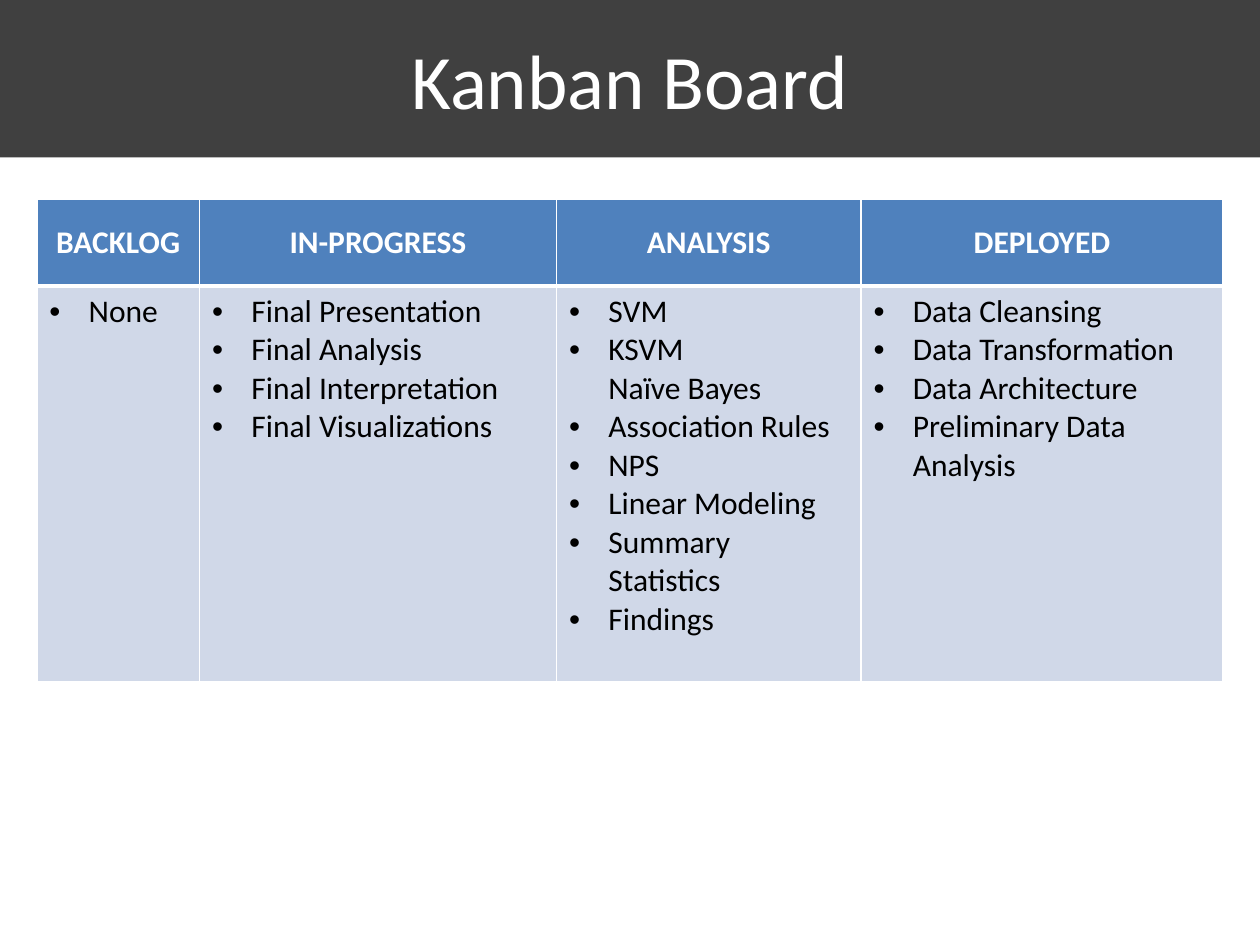
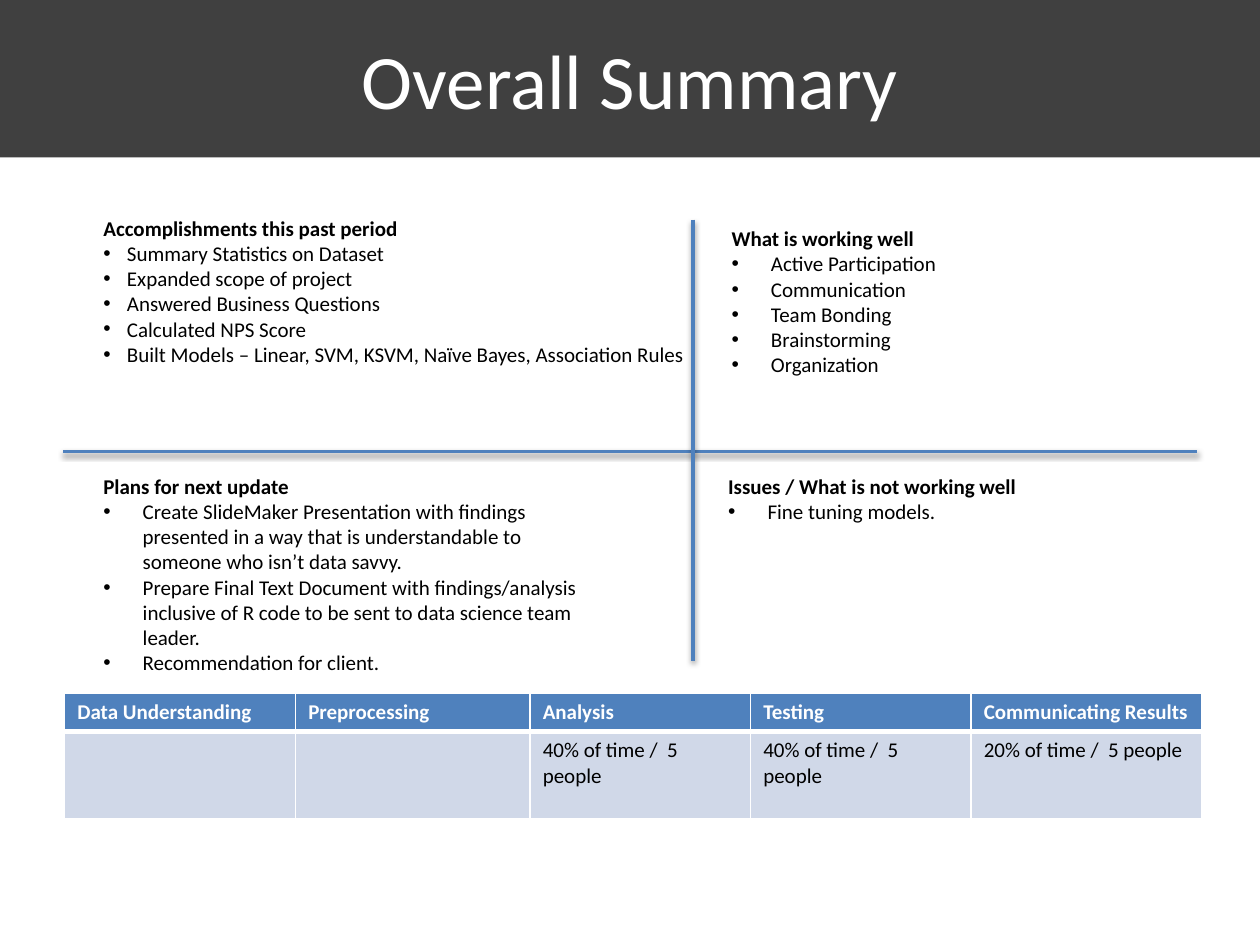
from lxml import etree
from pptx import Presentation
from pptx.dml.color import RGBColor
from pptx.enum import shapes, text
from pptx.oxml import ns
from pptx.util import Pt

BAND = RGBColor(0x40, 0x40, 0x40)
BLUE = RGBColor(0x4F, 0x81, 0xBD)
PALE = RGBColor(0xD0, 0xD8, 0xE8)
WHITE = RGBColor(0xFF, 0xFF, 0xFF)
BLACK = RGBColor(0, 0, 0)
FONT = "Calibri"
WIDTH, HEIGHT, BAND_H = 720, 540, 90
INDENT, SMALL_INDENT = 22.5, 13.5

BOARD = [
    ("BACKLOG", 93, ["None"]),
    ("IN-PROGRESS", 204, ["Final Presentation", "Final Analysis",
                          "Final Interpretation", "Final Visualizations"]),
    ("ANALYSIS", 174, ["SVM", "KSVM\nNaïve Bayes", "Association Rules", "NPS",
                       "Linear Modeling", "Summary Statistics", "Findings"]),
    ("DEPLOYED", 207, ["Data Cleansing", "Data Transformation",
                       "Data Architecture", "Preliminary Data Analysis"]),
]
EFFORT = [
    ("Data Understanding", 132, []),
    ("Preprocessing", 134, []),
    ("Analysis", 126, ["40% of time /  5 people "]),
    ("Testing", 126, ["40% of time /  5 people "]),
    ("Communicating Results", 132, ["20% of time /  5 people "]),
]
QUADRANTS = [
    ((52, 119.5, 346.5, 167), SMALL_INDENT, "Accomplishments this past period",
     ["Summary Statistics on Dataset", "Expanded scope of project",
      "Answered Business Questions", "Calculated NPS Score",
      "Built Models – Linear, SVM, KSVM, Naïve Bayes, Association Rules"]),
    ((411, 125.5, 271, 94), INDENT, "What is working well",
     ["Active Participation", "Communication", "Team Bonding",
      "Brainstorming", "Organization"]),
    ((52, 267, 296, 138), INDENT, "Plans for next update",
     ["Create SlideMaker Presentation with findings presented in a way that is "
      "understandable to someone who isn’t data savvy.",
      "Prepare Final Text Document with findings/analysis inclusive of R code "
      "to be sent to data science team leader.",
      "Recommendation for client."]),
    ((409, 267, 276.5, 80), INDENT, "Issues / What is not working well",
     ["Fine tuning models."]),
]
AXES = [(36, 258, 684, 258), (396, 125.5, 396, 377.5)]


def write(tf, lines, size, color, bold=False, align=None, indent=0, start=0):
    for i, line in enumerate(lines, start):
        p = tf.paragraphs[0] if i == 0 else tf.add_paragraph()
        if align is not None:
            p.alignment = align
        for n, part in enumerate(line.split("\n")):
            if n:
                p.add_line_break()
            r = p.add_run()
            r.text = part
            r.font.name, r.font.size, r.font.bold = FONT, Pt(size), bold
            r.font.color.rgb = color
        if indent:
            pPr = p._p.get_or_add_pPr()
            pPr.set("marL", str(Pt(indent)))
            pPr.set("indent", str(Pt(-indent)))
            etree.SubElement(pPr, ns.qn("a:buFont"), typeface="Arial")
            etree.SubElement(pPr, ns.qn("a:buChar"), char="•")


def add_titled_slide(title):
    s = prs.slides.add_slide(prs.slide_layouts[6])
    sp = s.shapes.add_shape(shapes.MSO_SHAPE.RECTANGLE, 0, 0, Pt(WIDTH), Pt(BAND_H))
    sp.shadow.inherit = False
    sp.fill.solid()
    sp.fill.fore_color.rgb = BAND
    sp.line.fill.background()
    sp.text_frame.vertical_anchor = text.MSO_ANCHOR.MIDDLE
    write(sp.text_frame, [title], 44, WHITE, align=text.PP_ALIGN.CENTER)
    return s


def style_cell(cell, fill, top, bottom):
    tcPr = cell._tc.get_or_add_tcPr()
    for side, width in (("L", 1), ("R", 1), ("T", top), ("B", bottom)):
        ln = etree.SubElement(tcPr, ns.qn("a:ln" + side), w=str(Pt(width)))
        solid = etree.SubElement(ln, ns.qn("a:solidFill"))
        etree.SubElement(solid, ns.qn("a:srgbClr"), val=str(WHITE))
    cell.fill.solid()
    cell.fill.fore_color.rgb = fill


def add_table(s, columns, x, y, heights, size, centred=False, indent=0):
    total = sum(width for _, width, _ in columns)
    table = s.shapes.add_table(2, len(columns), Pt(x), Pt(y),
                               Pt(total), Pt(sum(heights))).table
    for row, height in zip(table.rows, heights):
        row.height = Pt(height)
    for c, (heading, width, lines) in enumerate(columns):
        table.columns[c].width = Pt(width)
        head, body = table.cell(0, c), table.cell(1, c)
        style_cell(head, BLUE, 1, 3)
        style_cell(body, PALE, 3, 1)
        if centred:
            head.vertical_anchor = text.MSO_ANCHOR.MIDDLE
        write(head.text_frame, [heading], size, WHITE, True,
              text.PP_ALIGN.CENTER if centred else None)
        write(body.text_frame, lines, size, BLACK, indent=indent)


def add_axis(s, x1, y1, x2, y2):
    line = s.shapes.add_connector(shapes.MSO_CONNECTOR.STRAIGHT,
                                  Pt(x1), Pt(y1), Pt(x2), Pt(y2))
    line.line.color.rgb = BLUE
    line.line.width = Pt(2)
    effects = etree.SubElement(line._element.spPr, ns.qn("a:effectLst"))
    shadow = etree.SubElement(effects, ns.qn("a:outerShdw"), blurRad=str(Pt(3.1)),
                              dist=str(Pt(1.6)), dir="5400000", rotWithShape="0")
    color = etree.SubElement(shadow, ns.qn("a:srgbClr"), val=str(BLACK))
    etree.SubElement(color, ns.qn("a:alpha"), val="38000")


prs = Presentation()
prs.slide_width, prs.slide_height = Pt(WIDTH), Pt(HEIGHT)

s = add_titled_slide("Kanban Board")
add_table(s, BOARD, 21, 114, (49.5, 226), 18, centred=True, indent=INDENT)

s = add_titled_slide("Overall Summary")
add_table(s, EFFORT, 37, 396, (22, 50), 12)
for box, indent, heading, points in QUADRANTS:
    tf = s.shapes.add_textbox(*map(Pt, box)).text_frame
    tf.word_wrap = True
    write(tf, [heading], 12, BLACK, True)
    write(tf, points, 12, BLACK, indent=indent, start=1)
for axis in AXES:
    add_axis(s, *axis)

prs.save("out.pptx")
